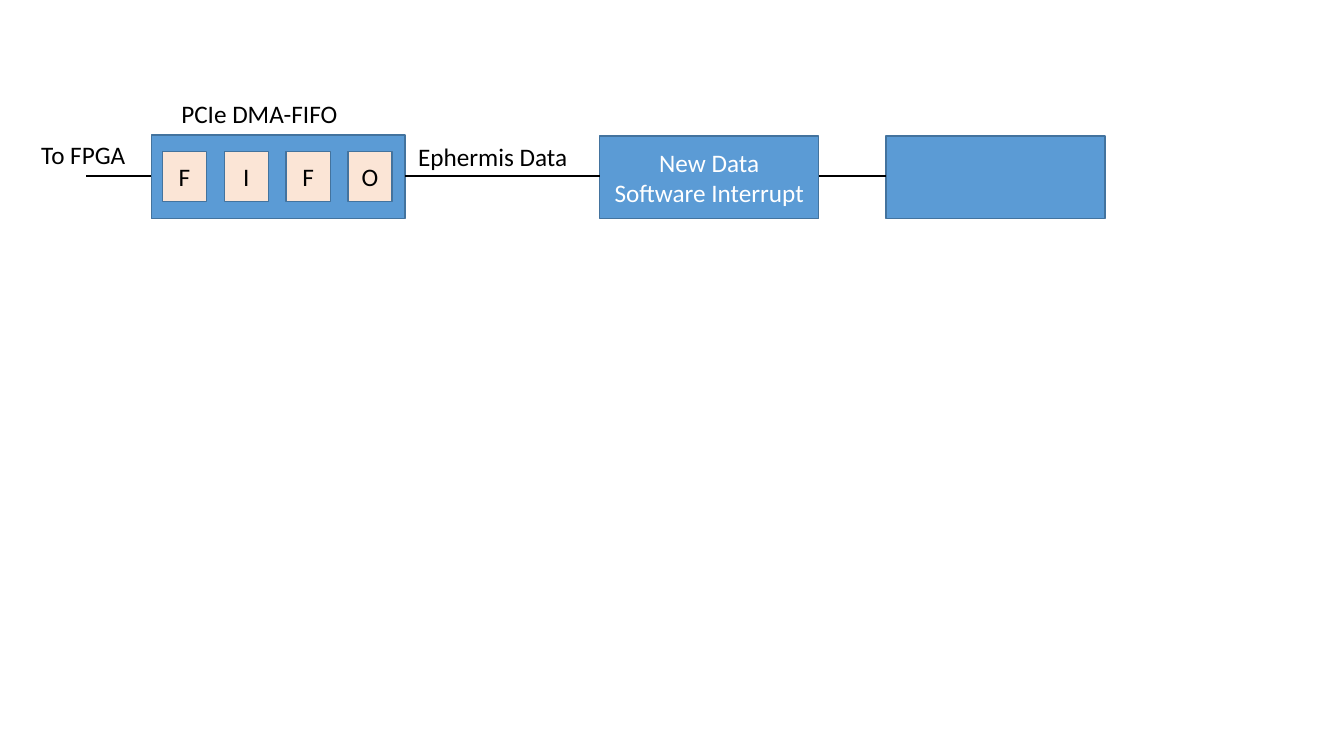
from pptx import Presentation
from pptx.dml.color import RGBColor
from pptx.enum.shapes import MSO_CONNECTOR, MSO_SHAPE
from pptx.enum.text import MSO_ANCHOR, MSO_AUTO_SIZE, PP_ALIGN
from pptx.oxml.ns import qn
from pptx.util import Inches, Pt
from lxml.etree import SubElement

COLORS = {"block": "5B9BD5", "cell": "FBE5D6", "border": "43739E",
          "dark": "000000", "light": "FFFFFF"}
WIDTH, HEIGHT = Inches(13.33), Inches(7.5)

# Positions are percentages of the slide's width (columns) and height (rows)
WIRE_ROW = 23.33
BLOCK_ROW, BLOCK_WIDTH, BLOCK_HEIGHT = 18, 16.28, 10.93
FIFO_LEFT, FIFO_WIDTH = 11.25, 18.9
INTERRUPT_LEFT, LAST_LEFT = 44.63, 65.93
CELL_LEFT, CELL_PITCH = 12.08, 4.6
LABEL_HEIGHT = 5.33


def column(share):
    return round(WIDTH * share / 100)


def row(share):
    return round(HEIGHT * share / 100)


def color(name):
    return RGBColor.from_string(COLORS[name])


def write(text_frame, text, font_color, alignment):
    text_frame.text = text
    for paragraph in text_frame.paragraphs:
        paragraph.alignment = alignment
        for run in paragraph.runs:
            run.font.name = "Calibri"
            run.font.size = Pt(18)
            run.font.color.rgb = color(font_color)


def add_box(shapes, left, top, width, height, fill, text="", font_color="light"):
    shape = shapes.add_shape(MSO_SHAPE.RECTANGLE, column(left), row(top),
                             column(width), row(height))
    shape.shadow.inherit = False
    shape.fill.solid()
    shape.fill.fore_color.rgb = color(fill)
    shape.line.color.rgb = color("border")
    shape.line.width = Pt(1)
    if text:
        shape.text_frame.vertical_anchor = MSO_ANCHOR.MIDDLE
        write(shape.text_frame, text, font_color, PP_ALIGN.CENTER)


def add_label(shapes, left, top, width, text):
    label = shapes.add_textbox(column(left), row(top), column(width), row(LABEL_HEIGHT))
    label.text_frame.word_wrap = True
    label.text_frame.auto_size = MSO_AUTO_SIZE.SHAPE_TO_FIT_TEXT
    write(label.text_frame, text, "dark", PP_ALIGN.LEFT)


def add_wire(shapes, start, end):
    wire = shapes.add_connector(MSO_CONNECTOR.STRAIGHT, column(start), row(WIRE_ROW),
                                column(end), row(WIRE_ROW))
    wire.line.color.rgb = color("dark")
    wire.line.width = Pt(1.5)
    SubElement(wire._element.spPr, qn("a:effectLst"))


def add_fifo(shapes):
    group = shapes.add_group_shape()
    add_box(group.shapes, FIFO_LEFT, 17.87, FIFO_WIDTH, 11.07, "block")
    for index, letter in enumerate("FIFO"):
        add_box(group.shapes, CELL_LEFT + index * CELL_PITCH, 20, 3.3, 6.67,
                "cell", letter, "dark")


def main():
    presentation = Presentation()
    presentation.slide_width, presentation.slide_height = WIDTH, HEIGHT
    slide = presentation.slides.add_slide(presentation.slide_layouts[6])
    shapes = slide.shapes

    # Processing blocks
    add_fifo(shapes)
    add_box(shapes, INTERRUPT_LEFT, BLOCK_ROW, BLOCK_WIDTH, BLOCK_HEIGHT,
            "block", "New Data\nSoftware Interrupt")
    add_box(shapes, LAST_LEFT, BLOCK_ROW, BLOCK_WIDTH, BLOCK_HEIGHT, "block")

    # Wires between the blocks
    add_wire(shapes, FIFO_LEFT, 6.38)
    add_wire(shapes, INTERRUPT_LEFT, FIFO_LEFT + FIFO_WIDTH)
    add_wire(shapes, LAST_LEFT, INTERRUPT_LEFT + BLOCK_WIDTH)

    # Labels
    add_label(shapes, 12.75, 12.4, 15.75, "PCIe DMA-FIFO")
    add_label(shapes, 30.38, 18, 13.28, "Ephermis Data")
    add_label(shapes, 2.33, 17.73, 9, "To FPGA")

    presentation.save("out.pptx")


main()
